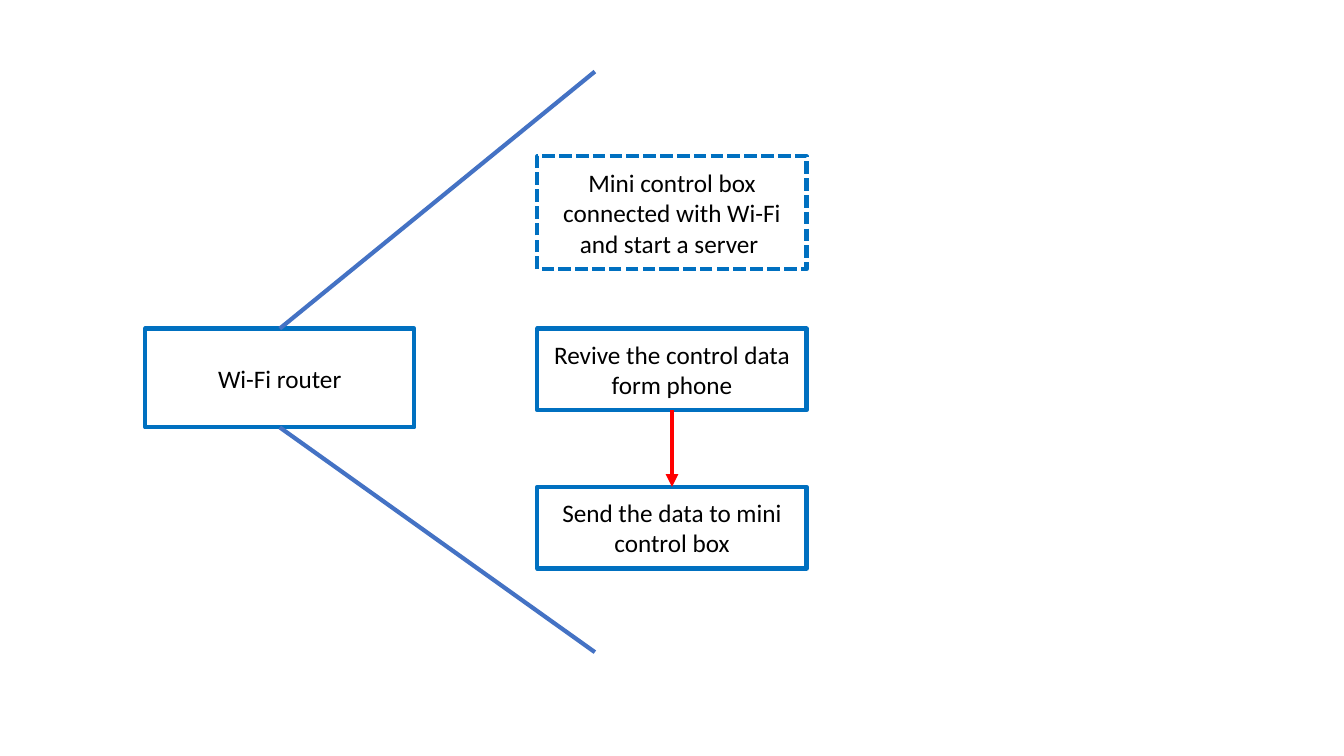
import dataclasses

import pptx
import pptx.dml.color
import pptx.enum.dml
import pptx.enum.shapes
import pptx.enum.text
import pptx.oxml.ns
import pptx.util
from lxml import etree

Inches = pptx.util.Inches
TOP, BOTTOM = 0, 2


@dataclasses.dataclass(frozen=True)
class Theme:
    """Colours, font and sizes used on the slide."""
    frame: str = "0070C0"
    beam: str = "4472C4"
    arrow: str = "FF0000"
    text: str = "000000"
    font: str = "Calibri"
    text_size: int = 18
    line_width: int = 3


class Diagram:
    """Draws boxes and connectors on one page in one theme."""

    def __init__(self, page, theme):
        self.page = page
        self.theme = theme

    def style_line(self, line, colour):
        """Give a line its colour and the theme width."""
        line.color.rgb = pptx.dml.color.RGBColor.from_string(colour)
        line.width = pptx.util.Pt(self.theme.line_width)

    def box(self, text, left, top, height, width=2.67, dashed=False):
        """Add an outlined box with centred text."""
        box = self.page.shapes.add_shape(
            pptx.enum.shapes.MSO_SHAPE.RECTANGLE,
            Inches(left), Inches(top), Inches(width), Inches(height))
        box.shadow.inherit = False
        box.fill.background()
        self.style_line(box.line, self.theme.frame)
        if dashed:
            box.line.dash_style = pptx.enum.dml.MSO_LINE.SQUARE_DOT
        frame = box.text_frame
        frame.word_wrap = True
        frame.vertical_anchor = pptx.enum.text.MSO_ANCHOR.MIDDLE
        para = frame.paragraphs[0]
        para.alignment = pptx.enum.text.PP_ALIGN.CENTER
        span = para.add_run()
        span.text = text
        span.font.name = self.theme.font
        span.font.size = pptx.util.Pt(self.theme.text_size)
        span.font.color.rgb = pptx.dml.color.RGBColor.from_string(self.theme.text)
        return box

    def connector(self, x, y, colour):
        """Add a straight connector whose ends both lie at one point."""
        line = self.page.shapes.add_connector(
            pptx.enum.shapes.MSO_CONNECTOR.STRAIGHT,
            Inches(x), Inches(y), Inches(x), Inches(y))
        self.style_line(line.line, colour)
        etree.SubElement(line._element.spPr, pptx.oxml.ns.qn("a:effectLst"))
        return line

    def beam(self, x, y, box, side):
        """Run a line from a point to one side of a box."""
        self.connector(x, y, self.theme.beam).end_connect(box, side)

    def arrow(self, upper, lower):
        """Run an arrow from the bottom of one box to the top of another."""
        line = self.connector(0, 0, self.theme.arrow)
        line.begin_connect(upper, BOTTOM)
        line.end_connect(lower, TOP)
        outline = line.line._get_or_add_ln()
        etree.SubElement(outline, pptx.oxml.ns.qn("a:tailEnd"), type="triangle")


def main():
    """Build the Wi-Fi control diagram and save it."""
    deck = pptx.Presentation()
    deck.slide_width, deck.slide_height = Inches(13.33), Inches(7.5)
    diagram = Diagram(deck.slides.add_slide(deck.slide_layouts[6]), Theme())

    router = diagram.box("Wi-Fi router", 1.44, 3.26, 0.98)
    diagram.beam(5.9, 0.71, router, TOP)
    diagram.beam(5.9, 6.47, router, BOTTOM)

    step_left = 5.33
    diagram.box("Mini control box connected with Wi-Fi and start a server ",
                step_left, 1.55, 1.12, dashed=True)
    receive = diagram.box("Revive the control data form phone", step_left, 3.26, 0.81)
    send = diagram.box("Send the data to mini control box", step_left, 4.83, 0.81)
    diagram.arrow(receive, send)

    deck.save("out.pptx")


if __name__ == "__main__":
    main()
